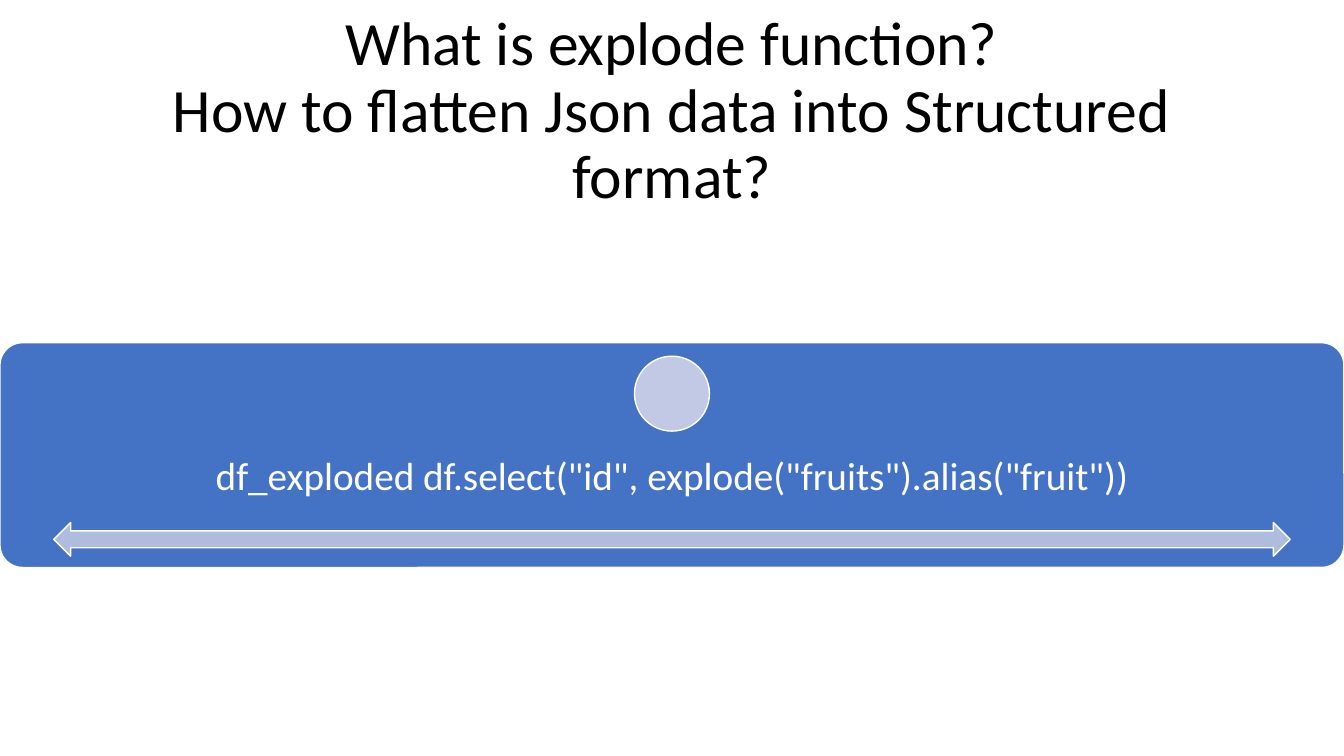
"""Build the slide that introduces the explode function."""
from dataclasses import dataclass

from pptx import Presentation
from pptx import util as u
from pptx.dml.color import RGBColor
from pptx.enum import shapes, text
from pptx.slide import Slide
from pptx.text.text import TextFrame

BLACK = RGBColor(0x00, 0x00, 0x00)
WHITE = RGBColor(0xFF, 0xFF, 0xFF)
PANEL_BLUE = RGBColor(0x44, 0x72, 0xC4)
CIRCLE_BLUE = RGBColor(0xC1, 0xC9, 0xE4)
ARROW_BLUE = RGBColor(0xB0, 0xBC, 0xDE)

SLIDE_WIDTH, SLIDE_HEIGHT = 13.33, 7.5
BAND_HEIGHT = 2.23
PANEL_TOP = 3.4
CIRCLE_SIZE = BAND_HEIGHT / 3
FONT_NAME = "Calibri"
TITLE_LINES = [
    "What is explode function?",
    "How to flatten Json data into Structured",
    "format?",
]
CODE_LINES = ['df_exploded df.select("id", explode("fruits").alias("fruit"))']


@dataclass(frozen=True)
class Box:
    """A horizontally centred area, in inches."""

    top: float
    width: float
    height: float

    def emu(self) -> tuple[int, int, int, int]:
        """Return left, top, width and height as slide lengths."""
        left = (SLIDE_WIDTH - self.width) / 2
        return tuple(u.Inches(value) for value in (left, self.top, self.width, self.height))


@dataclass(frozen=True)
class Figure:
    """A filled preset shape with a white outline."""

    kind: shapes.MSO_SHAPE
    box: Box
    fill: RGBColor
    adjustment: float | None = None


def panel_box(top_share: float, width: float, height: float) -> Box:
    """Place a box at a share of the panel's height."""
    return Box(PANEL_TOP + top_share * BAND_HEIGHT, width, height)


TITLE_BOX = Box(0, SLIDE_WIDTH, BAND_HEIGHT)
CODE_BOX = panel_box(0.4, SLIDE_WIDTH, 0.4 * BAND_HEIGHT)
FIGURES = [
    Figure(shapes.MSO_SHAPE.ROUNDED_RECTANGLE,
           panel_box(0, SLIDE_WIDTH, BAND_HEIGHT), PANEL_BLUE, 0.1),
    Figure(shapes.MSO_SHAPE.OVAL,
           panel_box(0.06, CIRCLE_SIZE, CIRCLE_SIZE), CIRCLE_BLUE),
    Figure(shapes.MSO_SHAPE.LEFT_RIGHT_ARROW,
           panel_box(0.8, 0.92 * SLIDE_WIDTH, 0.15 * BAND_HEIGHT), ARROW_BLUE),
]


def draw_figure(slide: Slide, figure: Figure) -> None:
    """Draw one preset shape."""
    shape = slide.shapes.add_shape(figure.kind, *figure.box.emu())
    shape.shadow.inherit = False
    shape.fill.solid()
    shape.fill.fore_color.rgb = figure.fill
    shape.line.color.rgb = WHITE
    shape.line.width = u.Pt(1)
    if figure.adjustment is not None:
        shape.adjustments[0] = figure.adjustment


def write_lines(frame: TextFrame, lines: list[str], size: float, color: RGBColor) -> None:
    """Write one centred paragraph with a break between its lines."""
    frame.word_wrap = True
    frame.auto_size = text.MSO_AUTO_SIZE.NONE
    frame.vertical_anchor = text.MSO_ANCHOR.MIDDLE
    paragraph = frame.paragraphs[0]
    paragraph.alignment = text.PP_ALIGN.CENTER
    paragraph.line_spacing = 0.9
    for index, line in enumerate(lines):
        if index:
            paragraph.add_line_break()
        run = paragraph.add_run()
        run.text = line
        run.font.name = FONT_NAME
        run.font.size = u.Pt(size)
        run.font.color.rgb = color


def main() -> None:
    """Create and save the presentation."""
    presentation = Presentation()
    presentation.slide_width = u.Inches(SLIDE_WIDTH)
    presentation.slide_height = u.Inches(SLIDE_HEIGHT)
    slide = presentation.slides.add_slide(presentation.slide_layouts[5])

    title = slide.shapes.title
    title.left, title.top, title.width, title.height = TITLE_BOX.emu()
    write_lines(title.text_frame, TITLE_LINES, 44, BLACK)

    for figure in FIGURES:
        draw_figure(slide, figure)

    code = slide.shapes.add_textbox(*CODE_BOX.emu())
    write_lines(code.text_frame, CODE_LINES, 28, WHITE)

    presentation.save("out.pptx")


if __name__ == "__main__":
    main()
